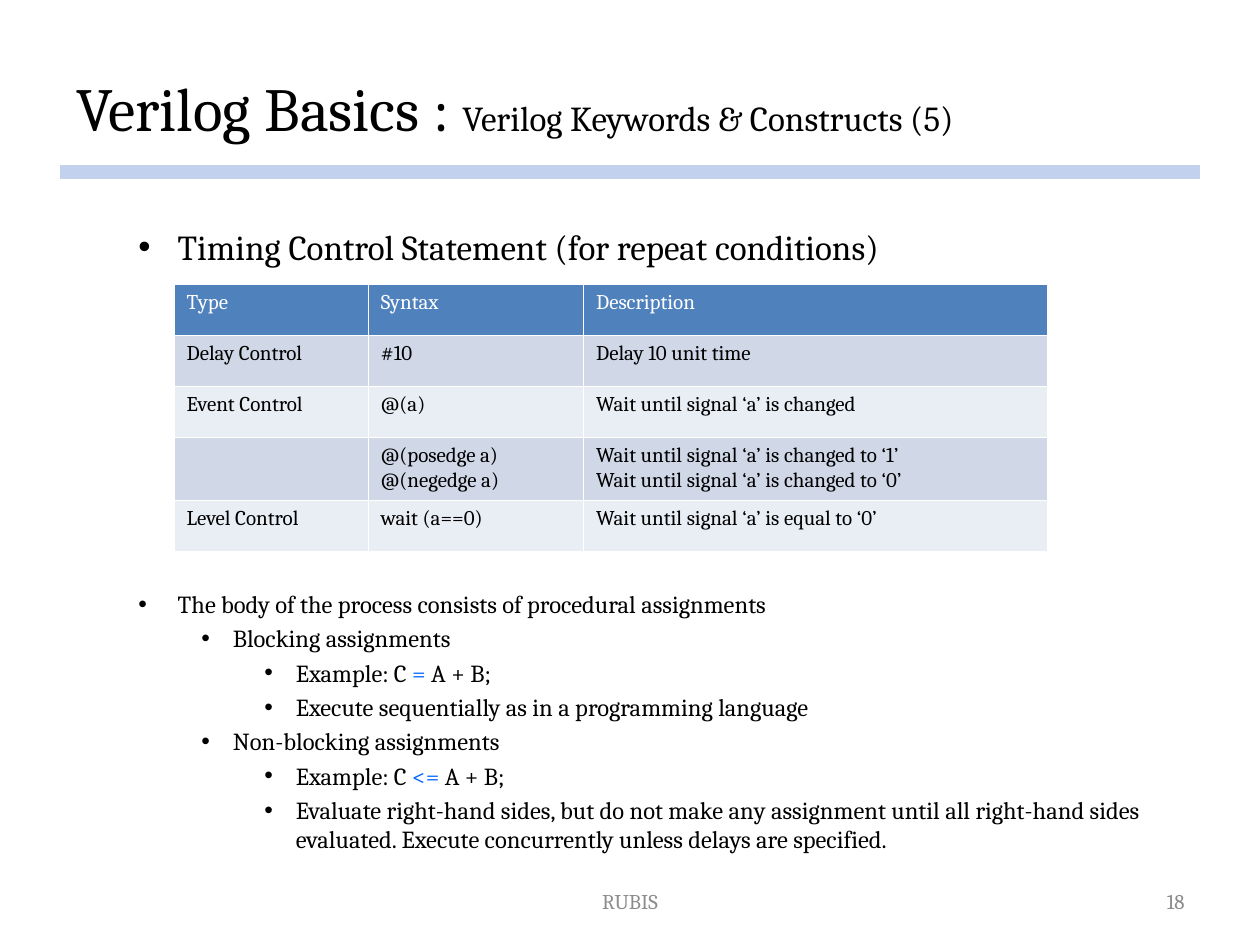
from dataclasses import dataclass

from lxml import etree
from pptx import Presentation
from pptx.dml.color import RGBColor
from pptx.enum.shapes import MSO_CONNECTOR
from pptx.enum.text import MSO_ANCHOR, PP_ALIGN
from pptx.oxml.ns import qn
from pptx.util import Pt

STRAIGHT = MSO_CONNECTOR.STRAIGHT
TOP, MIDDLE = MSO_ANCHOR.TOP, MSO_ANCHOR.MIDDLE
LEFT, CENTER, RIGHT = PP_ALIGN.LEFT, PP_ALIGN.CENTER, PP_ALIGN.RIGHT


@dataclass(frozen=True)
class Theme:
    """Colours, type sizes and bullet indents of the slide."""
    font: str = "Cambria"
    ink: str = "000000"
    white: str = "FFFFFF"
    operator: str = "0066FF"
    footer: str = "8C8C8C"
    rule: str = "C2D1ED"
    header: str = "4F81BD"
    bands: tuple = ("D0D8E8", "E9EDF4")
    title_size: float = 35
    heading_size: float = 20
    body_size: float = 14
    small_size: float = 12
    indents: tuple = ((58.5, 22.5), (90, 18), (126, 18))


THEME = Theme()

TABLE_ROWS = [
    ("Type", "Syntax", "Description"),
    ("Delay Control", "#10", "Delay 10 unit time"),
    ("Event Control", "@(a)", "Wait until signal ‘a’ is changed"),
    ("", "@(posedge a)\n@(negedge a)",
     "Wait until signal ‘a’ is changed to ‘1’\nWait until signal ‘a’ is changed to ‘0’"),
    ("Level Control", "wait (a==0)", "Wait until signal ‘a’ is equal to ‘0’"),
]

ASSIGNMENT_POINTS = [
    (0, ["The body of the process consists of procedural assignments"]),
    (1, ["Blocking assignments"]),
    (2, ["Example: C", " = ", "A + B;"]),
    (2, ["Execute sequentially as in a programming language"]),
    (1, ["Non-blocking assignments"]),
    (2, ["Example: C ", "<=", " A + B;"]),
    (2, ["Evaluate right-hand sides, but do not make any assignment until all "
         "right-hand sides evaluated. Execute concurrently unless delays are specified."]),
]


def style_run(run, size, color):
    """Give a run the theme font, a size and a colour."""
    run.font.name = THEME.font
    run.font.size = Pt(size)
    run.font.bold = False
    run.font.color.rgb = RGBColor.from_string(color)


def add_text_frame(slide, box, anchor=TOP):
    """Add a wrapping text box and return its text frame."""
    text_frame = slide.shapes.add_textbox(*map(Pt, box)).text_frame
    text_frame.word_wrap = True
    text_frame.vertical_anchor = anchor
    return text_frame


def fill_paragraph(paragraph, pieces, alignment=LEFT):
    """Write (text, size, colour) pieces as the runs of a paragraph."""
    paragraph.alignment = alignment
    for text, size, color in pieces:
        run = paragraph.add_run()
        run.text = text
        style_run(run, size, color)


def add_bullet(paragraph, level):
    """Set the bullet and hanging indent of an outline level."""
    margin, hanging = THEME.indents[level]
    properties = paragraph._p.get_or_add_pPr()
    properties.set("marL", str(Pt(margin)))
    properties.set("indent", str(-Pt(hanging)))
    etree.SubElement(properties, qn("a:buFont")).set("typeface", "Arial")
    etree.SubElement(properties, qn("a:buChar")).set("char", "•")
    paragraph.level = level


def add_title(slide, box):
    """Place the topic and its smaller subtitle on one line."""
    text_frame = add_text_frame(slide, box, MIDDLE)
    fill_paragraph(text_frame.paragraphs[0], [
        ("Verilog Basics : ", THEME.title_size, THEME.ink),
        ("Verilog Keywords & Constructs (5)", THEME.heading_size, THEME.ink),
    ])


def add_rule(slide, box):
    """Draw the thick rule through the middle of its box."""
    left, top, width, height = box
    middle = top + height / 2
    rule = slide.shapes.add_connector(
        STRAIGHT, Pt(left), Pt(middle), Pt(left + width), Pt(middle))
    rule.line.color.rgb = RGBColor.from_string(THEME.rule)
    rule.line.width = Pt(height)
    etree.SubElement(rule._element.spPr, qn("a:effectLst"))


def add_outline(slide, box, points, size, line_spacing=1.0):
    """Place bulleted points given as (level, pieces), the second piece an operator."""
    text_frame = add_text_frame(slide, box)
    for index, (level, texts) in enumerate(points):
        paragraph = text_frame.add_paragraph() if index else text_frame.paragraphs[0]
        add_bullet(paragraph, level)
        paragraph.line_spacing = line_spacing
        if index:
            paragraph.space_before = Pt(size * 0.2)
        colors = (THEME.ink, THEME.operator, THEME.ink)
        fill_paragraph(paragraph, [(text, size, color) for text, color in zip(texts, colors)])


def add_timing_table(slide, box, column_widths, row_heights):
    """Place the timing control table with its header and banded rows."""
    table = slide.shapes.add_table(
        len(row_heights), len(column_widths), *map(Pt, box)).table
    for column, width in zip(table.columns, column_widths):
        column.width = Pt(width)
    for row_index, (row, height) in enumerate(zip(table.rows, row_heights)):
        row.height = Pt(height)
        fill = THEME.bands[(row_index - 1) % 2] if row_index else THEME.header
        color = THEME.ink if row_index else THEME.white
        for cell, text in zip(row.cells, TABLE_ROWS[row_index]):
            cell.fill.solid()
            cell.fill.fore_color.rgb = RGBColor.from_string(fill)
            cell.text_frame.text = text
            for paragraph in cell.text_frame.paragraphs:
                for run in paragraph.runs:
                    style_run(run, THEME.small_size, color)


def add_footer(slide, box, text, alignment):
    """Place one grey footer entry."""
    text_frame = add_text_frame(slide, box, MIDDLE)
    fill_paragraph(text_frame.paragraphs[0],
                   [(text, THEME.small_size, THEME.footer)], alignment)


def main():
    """Build the slide and save it."""
    presentation = Presentation()
    presentation.slide_width, presentation.slide_height = Pt(720), Pt(540)
    slide = presentation.slides.add_slide(presentation.slide_layouts[6])
    add_rule(slide, (34.5, 94.5, 651.5, 8))
    add_outline(slide, (36, 128, 657, 30),
                [(0, ["Timing Control Statement (for repeat conditions)"])],
                THEME.heading_size, 0.9)
    add_outline(slide, (36, 333, 657, 167), ASSIGNMENT_POINTS, THEME.body_size)
    add_footer(slide, (246, 500.5, 228, 29), "RUBIS", CENTER)
    add_footer(slide, (516, 500.5, 168, 29), "18", RIGHT)
    add_timing_table(slide, (99.5, 162.5, 499, 152.8),
                     (111, 123, 265), (29.2, 29.2, 29.2, 36, 29.2))
    add_title(slide, (36.5, 21, 648, 80))
    presentation.save("out.pptx")


if __name__ == "__main__":
    main()
